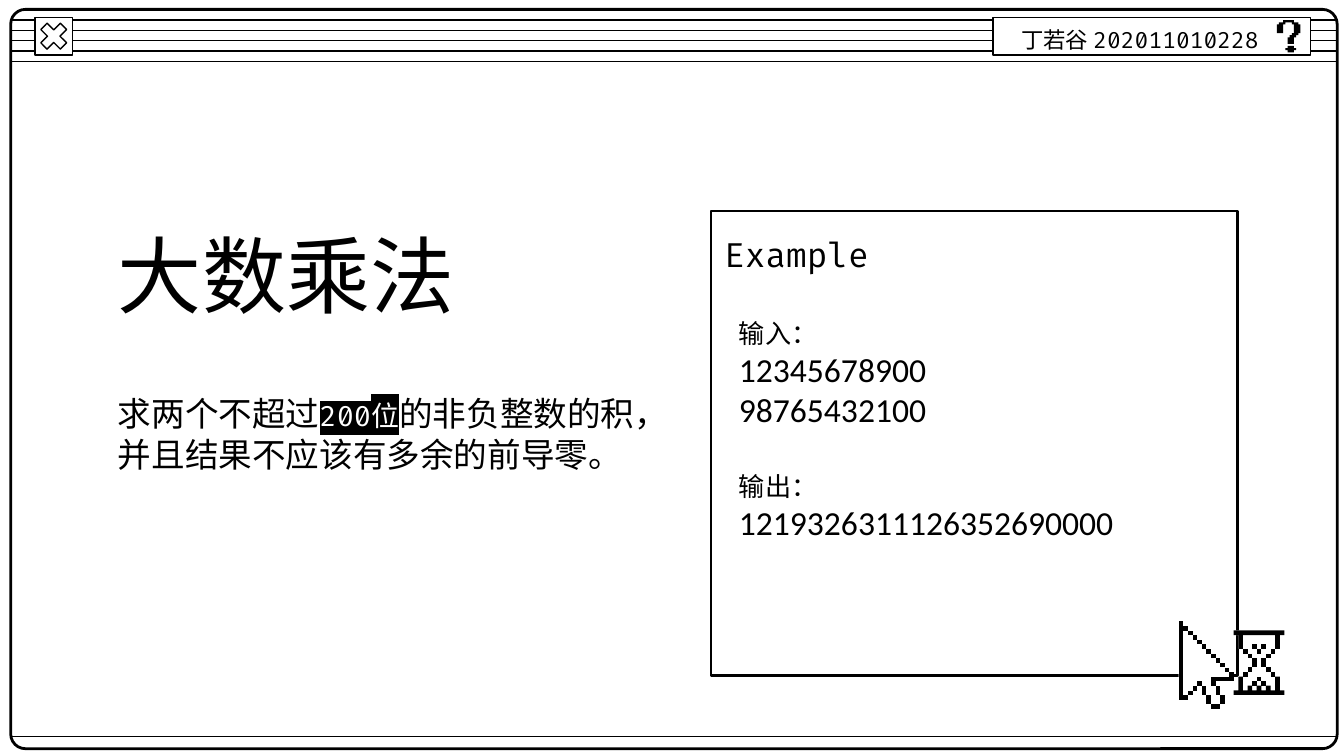
"""Build the big-number multiplication slide, styled as a retro desktop window."""
from lxml.etree import SubElement
from pptx import Presentation
from pptx.dml.color import RGBColor
from pptx.enum.shapes import MSO_CONNECTOR, MSO_SHAPE
from pptx.enum.text import MSO_ANCHOR, PP_ALIGN
from pptx.oxml.ns import qn
from pptx.util import Inches, Pt

BLACK = RGBColor(0, 0, 0)
WHITE = RGBColor(255, 255, 255)
MONO, HAN, SANS, DIGITS = "Fira Code", "Noto Sans CJK SC", "Arial", "Calibri"

deck = Presentation()
deck.slide_width, deck.slide_height = Inches(10), Inches(5.625)
COL, ROW = deck.slide_width / 100, deck.slide_height / 100
slide = deck.slides.add_slide(deck.slide_layouts[6])
shapes = slide.shapes


def place(left, top, width, height):
    return int(left * COL), int(top * ROW), int(width * COL), int(height * ROW)


def draw_pixels(origin, unit, outline, colour):
    pen = shapes.build_freeform(*outline[0], scale=unit * COL)
    pen.add_line_segments(outline[1:], close=True)
    icon = pen.convert_to_shape(int(origin[0] * COL), int(origin[1] * ROW))
    icon.shadow.inherit = False
    icon.fill.solid()
    icon.fill.fore_color.rgb = colour
    icon.line.fill.background()


for row in [2.65 + 1.37 * n for n in range(5)] + [97.4]:
    left, top, width, _ = place(0.85, row, 98.65, 0)
    rule = shapes.add_connector(MSO_CONNECTOR.STRAIGHT, left, top, left + width, top)
    rule.line.color.rgb = BLACK
    rule.line.width = Pt(0.75)
    SubElement(rule._element.spPr, qn("a:effectLst"))

panels = [
    (MSO_SHAPE.ROUNDED_RECTANGLE, (0.8, 1.24, 98.7, 97.8), 0.02, None, 1.5),
    (MSO_SHAPE.RECTANGLE, (2.6, 2.3, 2.8, 4.98), None, WHITE, 0.75),
    (MSO_SHAPE.MATH_MULTIPLY, (2.6, 2.3, 2.8, 4.98), 0.235, WHITE, 0.75),
    (MSO_SHAPE.RECTANGLE, (73.9, 2.3, 23.6, 4.98), None, WHITE, 0.75),
    (MSO_SHAPE.RECTANGLE, (52.9, 27.9, 39.2, 61.5), None, None, 1.5),
]
for preset, area, corner, fill, weight in panels:
    panel = shapes.add_shape(preset, *place(*area))
    panel.shadow.inherit = False
    if corner:
        panel.adjustments[0] = corner
    if fill is None:
        panel.fill.background()
    else:
        panel.fill.solid()
        panel.fill.fore_color.rgb = fill
    panel.line.color.rgb = BLACK
    panel.line.width = Pt(weight)

question_hook = [
    (3, 0), (3, 1), (1, 1), (1, 2), (0, 2), (0, 6), (3, 6), (3, 2), (4, 2), (4, 1),
    (7, 1), (7, 2), (8, 2), (8, 6), (7, 6), (7, 7), (6, 7), (6, 8), (5, 8), (5, 11),
    (8, 11), (8, 8), (9, 8), (9, 7), (10, 7), (10, 6), (11, 6), (11, 2), (10, 2),
    (10, 1), (8, 1), (8, 0)]
question_dot = [
    (5, 12), (5, 13), (4, 13), (4, 14), (5, 14), (5, 15),
    (8, 15), (8, 14), (9, 14), (9, 13), (8, 13), (8, 12)]
for outline in (question_hook, question_dot):
    draw_pixels((95, 2.67), 0.16, outline, BLACK)

POINTER, HOURGLASS, PIXEL = (87.7, 82.2), (91.8, 83.4), 0.343
pointer_body = [
    (0, 0), (0, 17), (2, 17), (2, 16), (3, 16), (3, 15), (4, 15), (4, 14), (5, 14),
    (5, 16), (6, 16), (6, 18), (7, 18), (7, 19), (9, 19), (9, 18), (10, 18), (10, 16),
    (9, 16), (9, 14), (8, 14), (8, 13), (12, 13), (12, 11)]
for step in range(11, 0, -1):
    pointer_body += [(step, step), (step, step - 1)]
draw_pixels(POINTER, PIXEL, pointer_body, WHITE)

glass_halves = [
    (WHITE, [(0, 0), (0, 1), (1, 1), (1, 4), (2, 4), (2, 5), (3, 5), (3, 6), (4, 6),
             (4, 8), (3, 8), (3, 9), (2, 9), (2, 10), (1, 10), (1, 13), (0, 13), (0, 14)]),
    (BLACK, [(0, 0), (0, 1), (1, 1), (1, 4), (2, 4), (2, 1)]),
    (BLACK, [(5, 12), (5, 13), (4, 13), (4, 12), (3, 12), (3, 13), (2, 13), (2, 10),
             (1, 10), (1, 13), (0, 13), (0, 14)]),
]
for colour, half in glass_halves:
    mirrored = [(11 - x, y) for x, y in reversed(half)]
    draw_pixels(HOURGLASS, PIXEL, half + mirrored, colour)

pointer_blocks = [(0, 0, 1, 17)] + [(n, n, 1, 1) for n in range(1, 12)] + [
    (7, 12, 5, 1), (7, 13, 1, 1), (4, 13, 1, 1), (3, 14, 1, 1), (2, 15, 1, 1),
    (1, 16, 1, 1), (5, 14, 1, 2), (6, 16, 1, 2), (7, 18, 2, 1), (8, 14, 1, 2),
    (9, 16, 1, 2)]
glass_sides = [(2, 4, 1, 1), (3, 5, 1, 1), (4, 6, 1, 2), (3, 8, 1, 1), (2, 9, 1, 1),
               (4, 3, 1, 1), (4, 11, 1, 1)]
glass_blocks = glass_sides + [(10 - x, y, w, h) for x, y, w, h in glass_sides]
glass_blocks += [(5, 4, 1, 1), (5, 10, 1, 1)]
for origin, blocks in ((POINTER, pointer_blocks), (HOURGLASS, glass_blocks)):
    for x, y, w, h in blocks:
        corners = [(x, y), (x, y + h), (x + w, y + h), (x + w, y)]
        draw_pixels(origin, PIXEL, corners, BLACK)

INSET = Inches(0.1)
FRAME = {"word_wrap": True, "vertical_anchor": MSO_ANCHOR.MIDDLE, "margin_left": INSET,
         "margin_top": INSET, "margin_right": INSET, "margin_bottom": INSET}
TOP_FRAME = {"vertical_anchor": MSO_ANCHOR.TOP, "margin_top": Inches(0.25)}
texts = [
    ((75, 0, 20.1, 9.96), {}, [
        ({"line_spacing": 1.15}, [("丁若谷 202011010228", 12, MONO, BLACK)])]),
    ((7.8, 30, 51, 12.6), {}, [({}, [("大数乘法", 45, HAN, BLACK)])]),
    ((7.8, 44.8, 51, 25.1), {}, [
        ({}, [("求两个不超过", 18, MONO, BLACK), ("200位", 15, MONO, WHITE),
              ("的非负整数的积，", 18, MONO, BLACK)]),
        ({}, [("并且结果不应该有多余的前导零。", 18, MONO, BLACK)])]),
    ((54, 37.5, 37.1, 48.9), TOP_FRAME, [
        ({}, [("输入：", 14, SANS, BLACK)]),
        ({}, [("12345678900", 18, DIGITS, BLACK)]),
        ({}, [("98765432100", 18, DIGITS, BLACK)]),
        ({"space_before": Pt(22)}, [("输出：", 14, SANS, BLACK)]),
        ({}, [("1219326311126352690000", 18, DIGITS, BLACK)])]),
    ((52.9, 27.2, 37.1, 12.8), {}, [({}, [("Example", 18, MONO, BLACK)])]),
]
for area, frame_changes, paragraphs in texts:
    frame = shapes.add_textbox(*place(*area)).text_frame
    for name, value in {**FRAME, **frame_changes}.items():
        setattr(frame, name, value)
    for index, (spacing, runs) in enumerate(paragraphs):
        paragraph = frame.add_paragraph() if index else frame.paragraphs[0]
        for name, value in {"alignment": PP_ALIGN.LEFT, **spacing}.items():
            setattr(paragraph, name, value)
        for words, size, face, colour in runs:
            run = paragraph.add_run()
            run.text = words
            run.font.color.rgb = colour
            if colour == WHITE:
                highlight = SubElement(run.font._element, qn("a:highlight"))
                SubElement(highlight, qn("a:srgbClr"), val=str(BLACK))
            for name, value in {"size": Pt(size), "name": face}.items():
                setattr(run.font, name, value)
            SubElement(run.font._element, qn("a:ea"), typeface=HAN)

deck.save("out.pptx")
